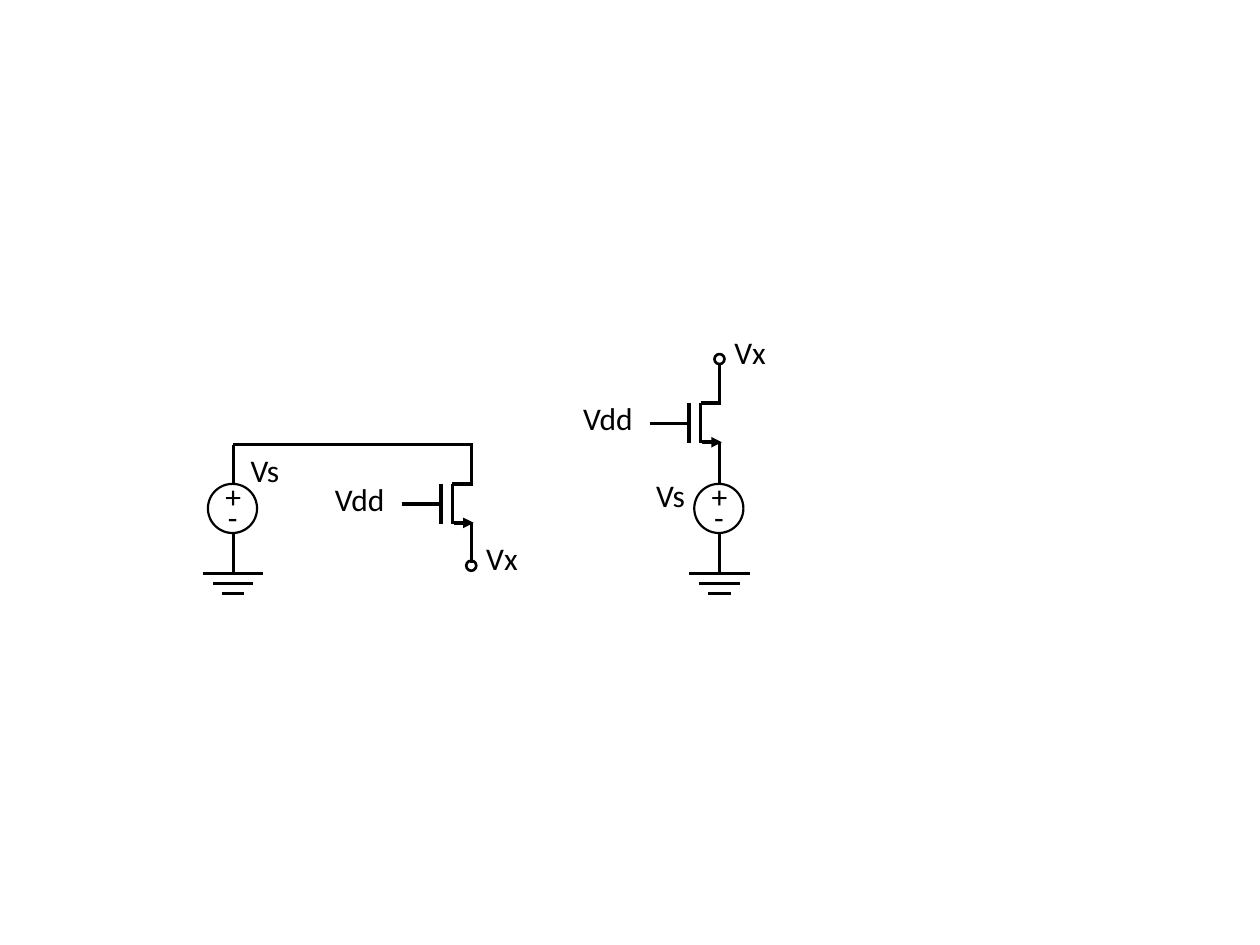
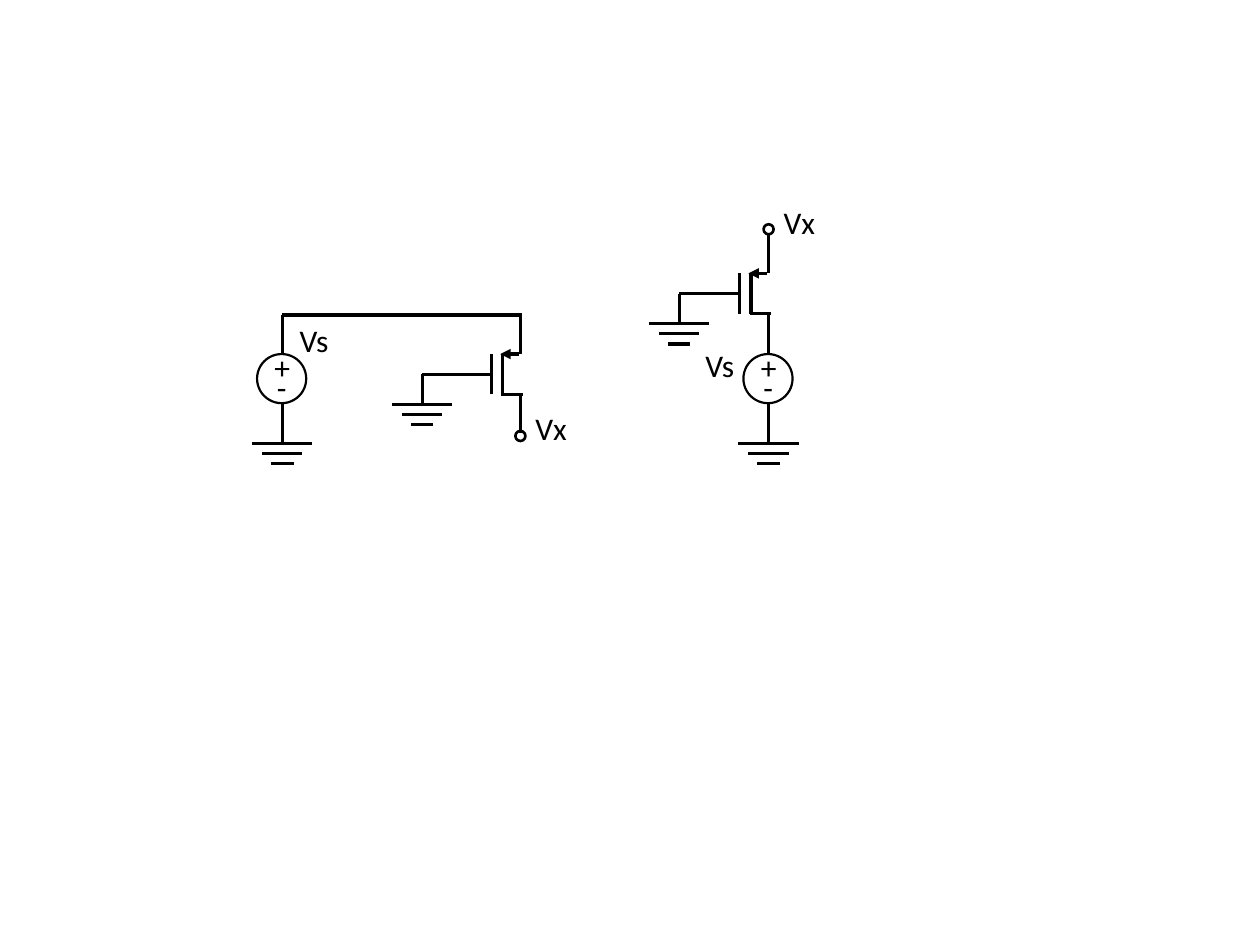
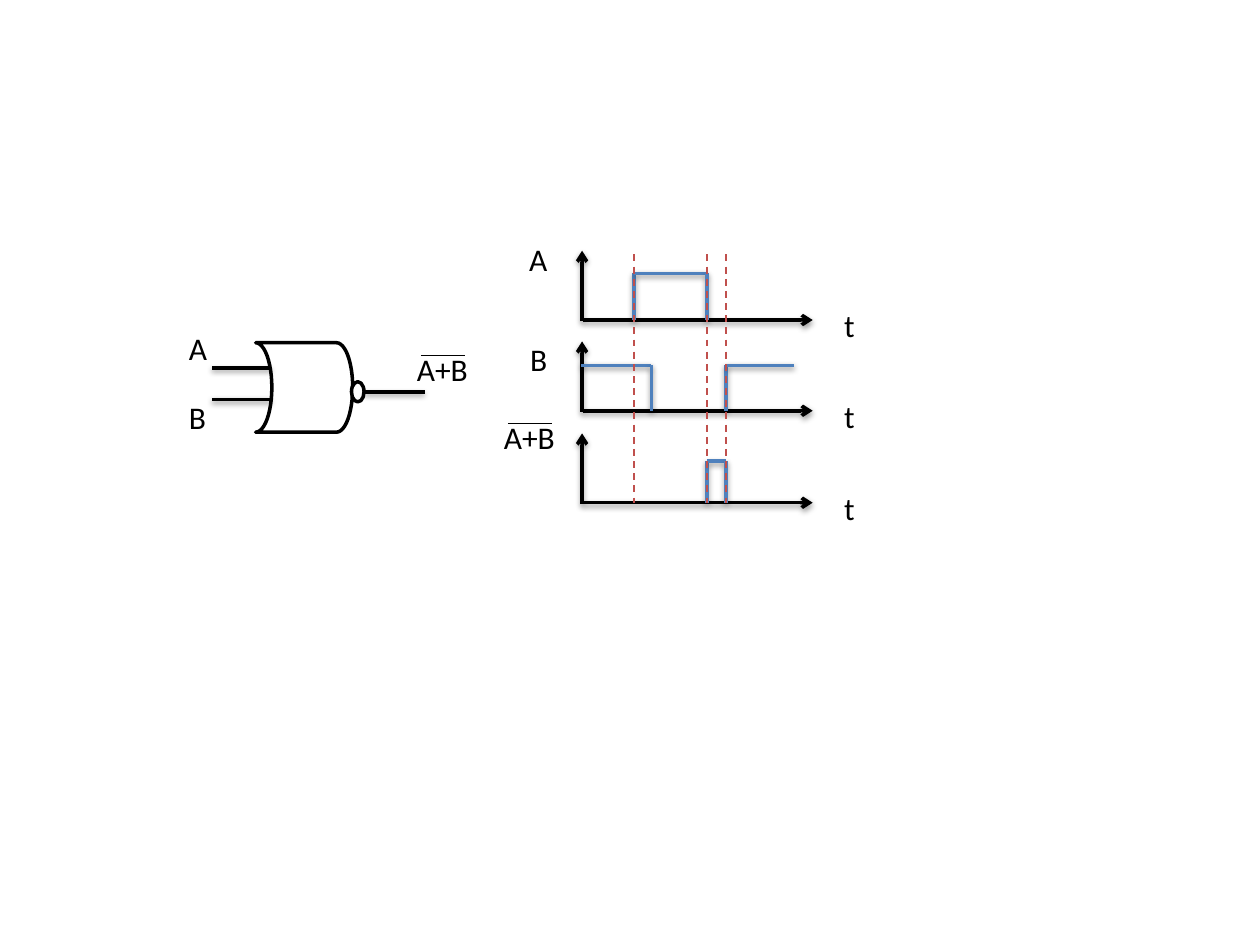
from dataclasses import dataclass
from itertools import pairwise

from lxml import etree
from pptx import Presentation
from pptx.dml.color import RGBColor
from pptx.enum.dml import MSO_LINE
from pptx.enum.shapes import MSO_CONNECTOR, MSO_SHAPE
from pptx.enum.text import MSO_AUTO_SIZE
from pptx.oxml.ns import qn
from pptx.util import Inches, Pt

STRAIGHT = MSO_CONNECTOR.STRAIGHT
CIRCLE = MSO_SHAPE.OVAL
GATE_BODY = MSO_SHAPE.FLOWCHART_STORED_DATA
GATE_BUBBLE = MSO_SHAPE.FLOWCHART_CONNECTOR
DASH = MSO_LINE.DASH
FIT_SHAPE = MSO_AUTO_SIZE.SHAPE_TO_FIT_TEXT
BLANK_LAYOUT = 6


@dataclass(frozen=True)
class Theme:
    ink: RGBColor = RGBColor(0x00, 0x00, 0x00)
    paper: RGBColor = RGBColor(0xFF, 0xFF, 0xFF)
    signal: RGBColor = RGBColor(0x4F, 0x81, 0xBD)
    guide: RGBColor = RGBColor(0xC0, 0x50, 0x4D)
    font: str = "Calibri"
    text_size: float = 18
    bold_line: float = 2
    wire: float = 1.75
    terminal_line: float = 1.5
    source_line: float = 1.25
    guide_line: float = 1
    overbar: float = 0.75


class Schematic:
    """Draws circuit parts on the current slide; all arguments are inches."""

    def __init__(self, deck, theme):
        self.deck = deck
        self.theme = theme
        self.slide = None

    def new_slide(self):
        layout = self.deck.slide_layouts[BLANK_LAYOUT]
        self.slide = self.deck.slides.add_slide(layout)

    # Basic elements
    def line(self, start, end, width=None, color=None, head=None, dash=None,
             shadow=False):
        ends = [Inches(value) for value in (*start, *end)]
        connector = self.slide.shapes.add_connector(STRAIGHT, *ends)
        connector.line.color.rgb = color or self.theme.ink
        connector.line.width = Pt(width or self.theme.wire)
        if dash:
            connector.line.dash_style = dash
        properties = connector._element.spPr
        if head:
            outline = properties.find(qn("a:ln"))
            etree.SubElement(outline, qn("a:tailEnd"), type=head)
        effects = etree.SubElement(properties, qn("a:effectLst"))
        if shadow:
            outer = etree.SubElement(
                effects, qn("a:outerShdw"), blurRad="40000", dist="20000",
                dir="5400000", rotWithShape="0")
            black = etree.SubElement(outer, qn("a:srgbClr"), val="000000")
            etree.SubElement(black, qn("a:alpha"), val="38000")

    def bold(self, start, end, **style):
        self.line(start, end, self.theme.bold_line, **style)

    def outline(self, kind, left, top, width, height, weight, fill=None,
                flip=False):
        box = [Inches(value) for value in (left, top, width, height)]
        shape = self.slide.shapes.add_shape(kind, *box)
        shape.shadow.inherit = False
        shape.line.color.rgb = self.theme.ink
        shape.line.width = Pt(weight)
        if fill is None:
            shape.fill.background()
        else:
            shape.fill.solid()
            shape.fill.fore_color.rgb = fill
        if flip:
            shape._element.spPr.get_or_add_xfrm().set("flipH", "1")

    def label(self, text, left, top, width, wrap=False):
        box = self.slide.shapes.add_textbox(
            Inches(left), Inches(top), Inches(width), Inches(0.4))
        frame = box.text_frame
        frame.word_wrap = wrap
        frame.auto_size = FIT_SHAPE
        frame.text = text
        font = frame.paragraphs[0].font
        font.name = self.theme.font
        font.size = Pt(self.theme.text_size)
        font.color.rgb = self.theme.ink

    def negated_label(self, text, left, top):
        self.label(text, left, top, 0.61)
        bar = top + 0.09
        self.line((left + 0.13, bar), (left + 0.48, bar), self.theme.overbar)

    # Circuit parts
    def ground(self, x, y):
        for step, half in enumerate((0.24, 0.16, 0.09)):
            level = y + step * 0.08
            self.line((x - half, level), (x + half, level))

    def voltage_source(self, x, top):
        self.outline(CIRCLE, x - 0.2, top, 0.39, 0.39, self.theme.source_line)
        self.label("+", x - 0.16, top - 0.1, 0.3, wrap=True)
        self.label("-", x - 0.14, top + 0.06, 0.3, wrap=True)
        self.line((x, top + 0.4), (x, top + 0.71))
        self.ground(x, top + 0.71)

    def terminal(self, x, top):
        self.outline(CIRCLE, x - 0.04, top, 0.08, 0.08,
                     self.theme.terminal_line)
        self.label("Vx", x + 0.02, top - 0.22, 0.45)

    def leads(self, x, top):
        self.line((x, top - 0.31), (x, top))
        self.line((x, top + 0.31), (x, top + 0.63))

    def nmos(self, x, top, gate_reach):
        """Gate driven by Vdd, arrow on the lower lead."""
        for bar in (x - 0.24, x - 0.15):
            self.bold((bar, top), (bar, top + 0.32))
        self.bold((x + 0.01, top), (x - 0.15, top))
        self.bold((x - 0.14, top + 0.31), (x + 0.02, top + 0.31),
                  head="triangle")
        self.leads(x, top)
        self.line((x - gate_reach, top + 0.16), (x - 0.24, top + 0.16))
        self.label("Vdd", x - gate_reach - 0.63, top - 0.08, 0.6)

    def pmos(self, x, top, gate_reach):
        """Gate tied to ground, arrow on the upper lead."""
        for bar in (x - 0.23, x - 0.14):
            self.bold((bar, top + 0.32), (bar, top))
        self.bold((x + 0.02, top + 0.32), (x - 0.15, top + 0.32))
        self.bold((x - 0.01, top), (x - 0.16, top), head="triangle")
        self.leads(x, top)
        corner = (x - gate_reach, top + 0.16)
        self.line(corner, (x - 0.23, top + 0.16))
        self.line(corner, (x - gate_reach, top + 0.4))
        self.ground(x - gate_reach, top + 0.4)

    def test_circuits(self, transistor, x, top, reaches):
        """Source at (x, top) feeding the upper lead, then the lower lead."""
        side_reach, stack_reach = reaches
        # Source beside the transistor
        channel = x + 1.89
        self.voltage_source(x, top)
        self.line((x, top - 0.31), (x, top))
        self.line((x, top - 0.31), (channel + 0.01, top - 0.31))
        self.label("Vs", x + 0.04, top - 0.31, 0.43)
        transistor(channel, top, side_reach)
        self.terminal(channel, top + 0.61)
        # Source below the transistor
        channel = x + 3.86
        self.voltage_source(channel, top)
        self.label("Vs", channel - 0.6, top - 0.11, 0.43)
        transistor(channel, top - 0.64, stack_reach)
        self.terminal(channel, top - 1.03)

    # Timing diagram parts
    def axes(self, baseline):
        self.bold((4.63, baseline), (6.45, baseline), head="arrow", shadow=True)
        self.bold((4.62, baseline + 0.01), (4.62, baseline - 0.55),
                  head="arrow", shadow=True)
        self.label("t", 6.6, baseline - 0.16, 0.29)

    def waveform(self, points):
        for start, end in pairwise(points):
            self.bold(start, end, color=self.theme.signal, shadow=True)

    def nor_gate(self):
        weight, paper = self.theme.bold_line, self.theme.paper
        self.outline(GATE_BODY, 2.03, 2.72, 0.77, 0.71, weight, paper, True)
        self.outline(GATE_BUBBLE, 2.79, 3.03, 0.1, 0.16, weight, paper, True)
        for pin in (2.92, 3.17):
            self.bold((2.15, pin), (1.68, pin), shadow=True)
        self.bold((3.37, 3.11), (2.89, 3.11), shadow=True)
        self.label("A", 1.4, 2.56, 0.35)
        self.label("B", 1.4, 3.11, 0.34)
        self.negated_label("A+B", 3.21, 2.73)

    def timing_diagram(self):
        a_base, b_base, out_base = 2.54, 3.26, 3.99
        a_rise, b_fall, a_fall, b_rise = 5.03, 5.17, 5.61, 5.76
        for baseline in (a_base, b_base, out_base):
            self.axes(baseline)
        a_high, b_high, out_high = a_base - 0.37, b_base - 0.36, out_base - 0.33
        self.waveform([(a_rise, a_base), (a_rise, a_high),
                       (a_fall, a_high), (a_fall, a_base)])
        self.waveform([(4.61, b_high), (b_fall, b_high), (b_fall, b_base)])
        self.waveform([(b_rise, b_base), (b_rise, b_high), (6.3, b_high)])
        self.waveform([(a_fall, out_base), (a_fall, out_high),
                       (b_rise, out_high), (b_rise, out_base)])
        for edge in (a_rise, a_fall, b_rise):
            self.line((edge, 2.02), (edge, out_base), self.theme.guide_line,
                      color=self.theme.guide, dash=DASH)
        self.label("A", 4.1, 1.86, 0.35)
        self.label("B", 4.11, 2.65, 0.34)
        self.negated_label("A+B", 3.9, 3.27)


def main():
    deck = Presentation()
    deck.slide_width, deck.slide_height = Inches(10), Inches(7.5)
    sheet = Schematic(deck, Theme())

    # NMOS switch
    sheet.new_slide()
    sheet.test_circuits(sheet.nmos, 1.85, 3.84, (0.55, 0.55))

    # PMOS switch
    sheet.new_slide()
    sheet.test_circuits(sheet.pmos, 2.24, 2.81, (0.78, 0.71))

    # NOR gate and its timing
    sheet.new_slide()
    sheet.timing_diagram()
    sheet.nor_gate()

    deck.save("out.pptx")


if __name__ == "__main__":
    main()
